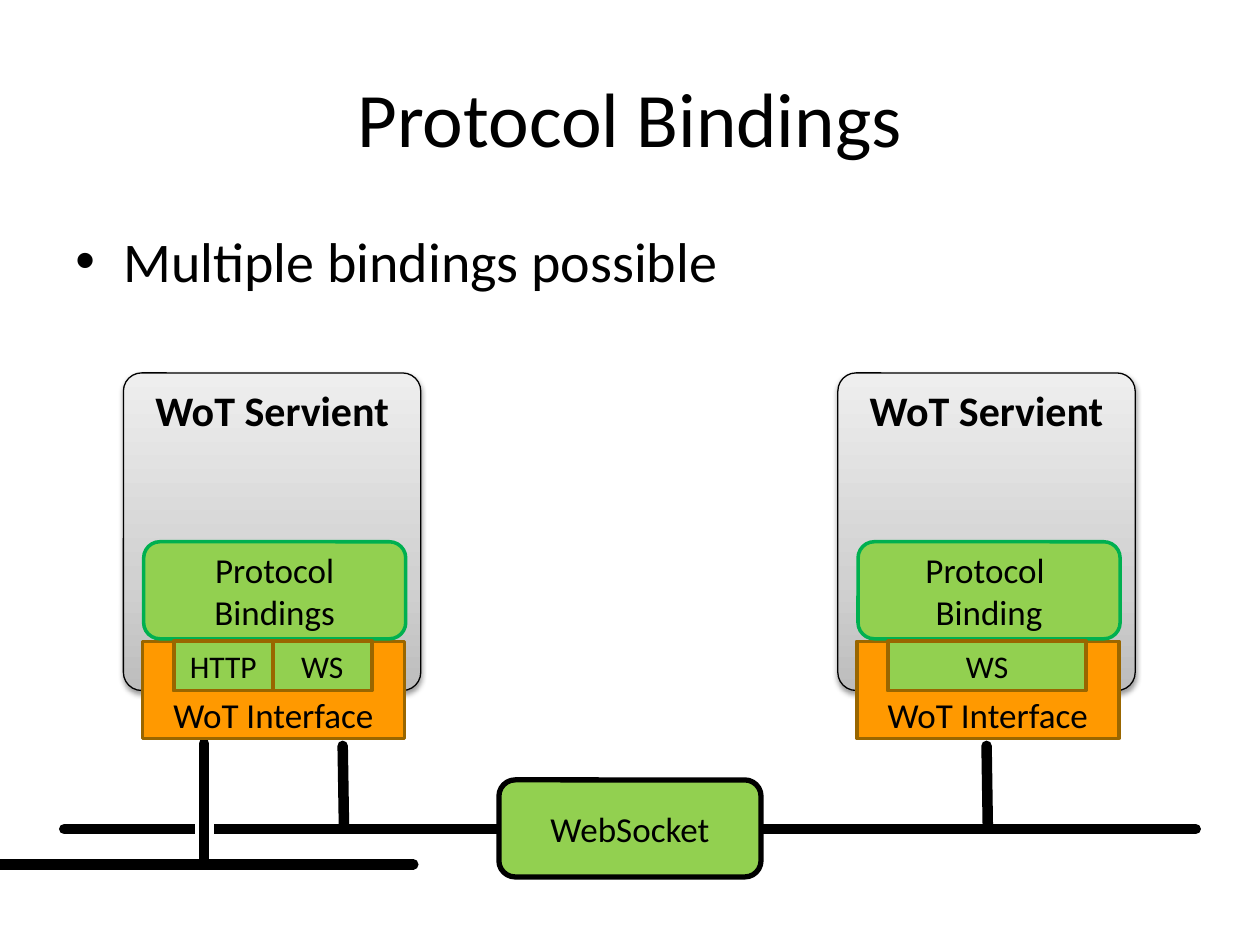
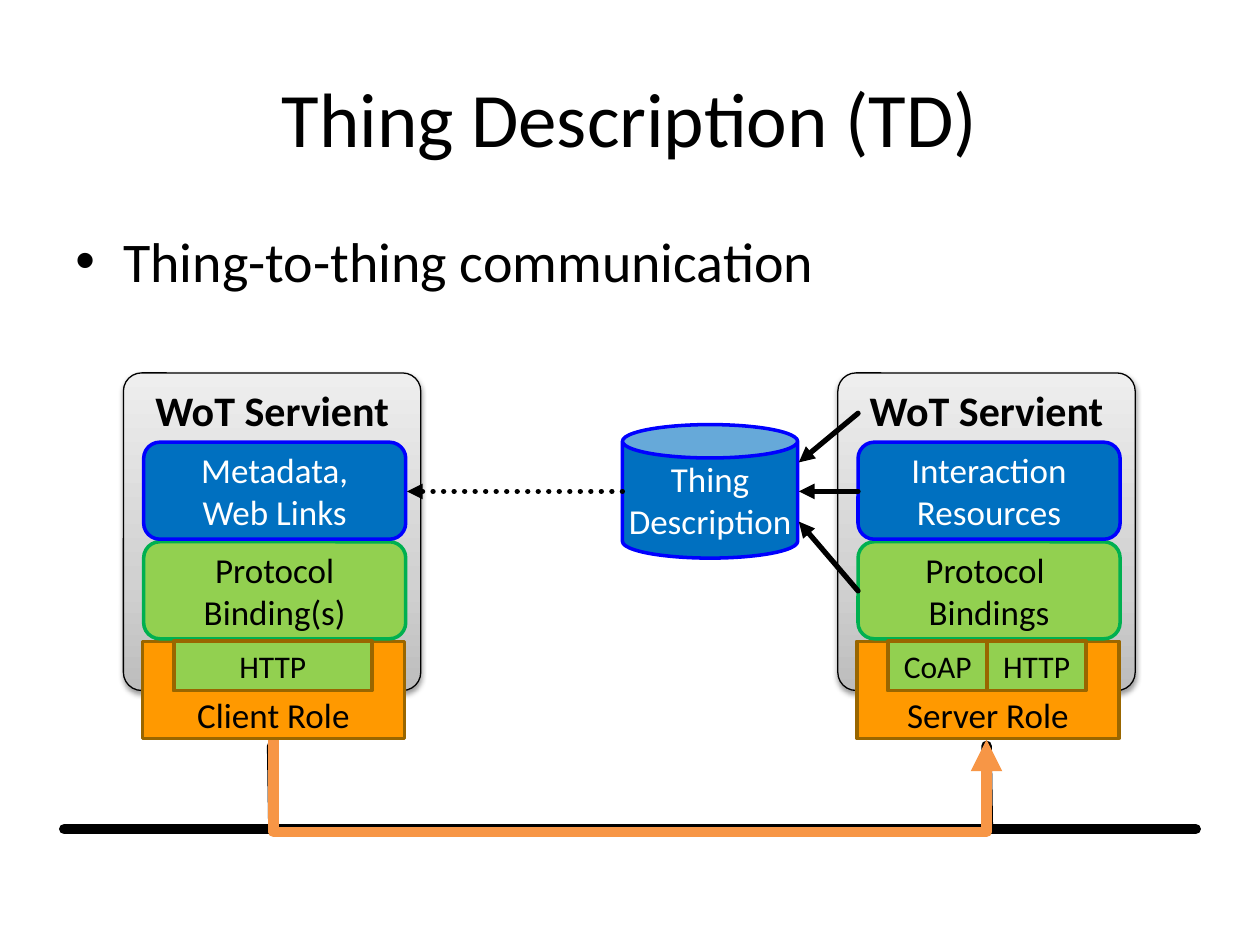
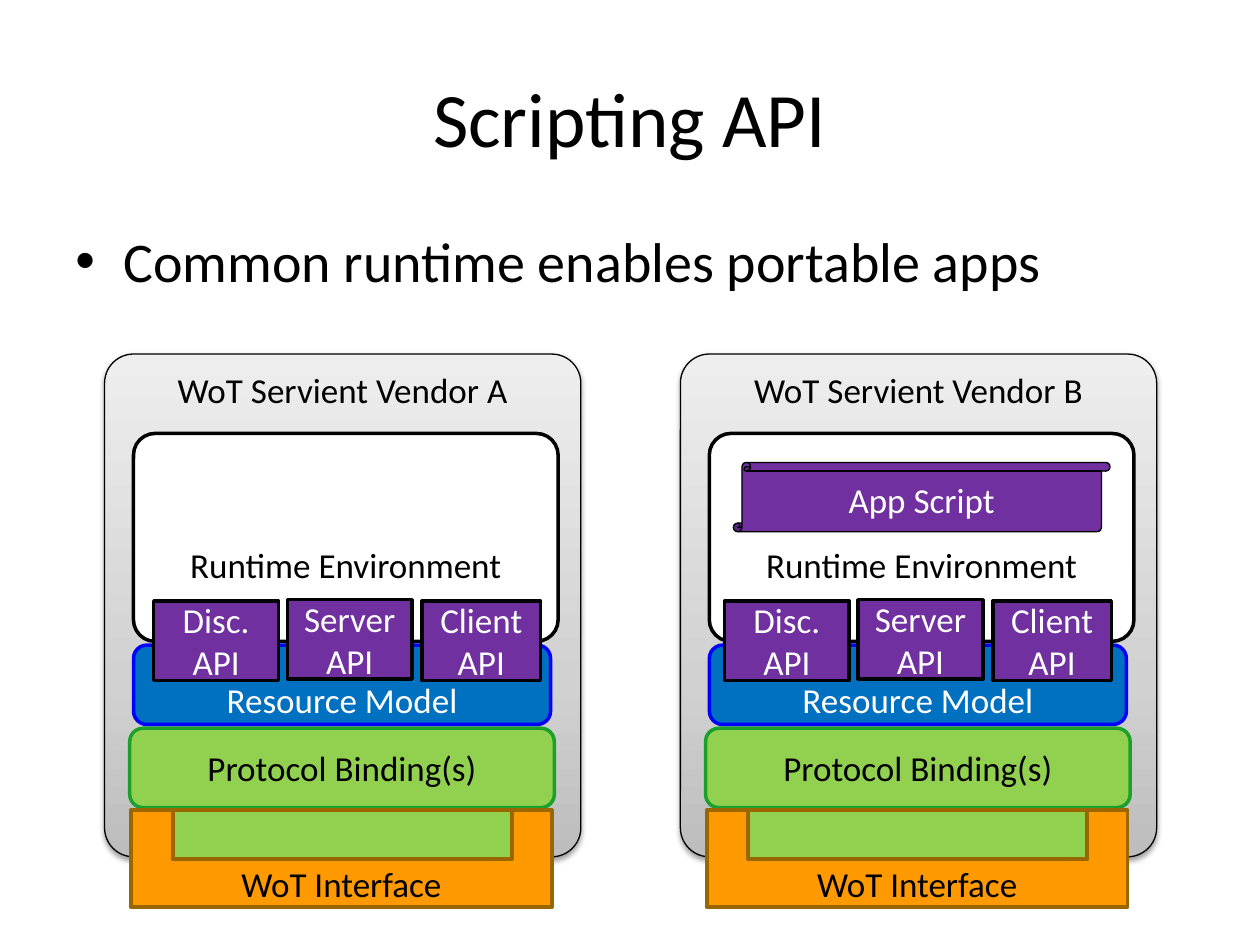
from copy import deepcopy

from lxml import etree
from pptx import Presentation
from pptx.dml.color import RGBColor
from pptx.enum.dml import MSO_LINE
from pptx.enum.shapes import MSO_CONNECTOR, MSO_SHAPE
from pptx.enum.text import MSO_ANCHOR, PP_ALIGN
from pptx.oxml import parse_xml
from pptx.oxml.ns import nsdecls, qn
from pptx.util import Inches, Pt

ROUNDED = MSO_SHAPE.ROUNDED_RECTANGLE
RECTANGLE = MSO_SHAPE.RECTANGLE
CAN = MSO_SHAPE.CAN
SCROLL = MSO_SHAPE.VERTICAL_SCROLL
STRAIGHT = MSO_CONNECTOR.STRAIGHT
ELBOW = MSO_CONNECTOR.ELBOW
DOTTED = MSO_LINE.ROUND_DOT
TOP, MIDDLE, BOTTOM = MSO_ANCHOR.TOP, MSO_ANCHOR.MIDDLE, MSO_ANCHOR.BOTTOM
CENTER = PP_ALIGN.CENTER
color = RGBColor.from_string

FONT = "Calibri"
BLACK, WHITE = "000000", "FFFFFF"
GREEN, BLUE, PURPLE = "92D050", "0070C0", "7030A0"
ORANGE, BROWN, ROUTE = "FF9900", "996600", "F79646"
PANEL_STOPS = ((0, "BDBDBD"), (0.35, "D1D1D1"), (1, "EEEEEE"))
PANEL_SHADOW = (
    f'<a:outerShdw {nsdecls("a")} blurRad="{Pt(3.1)}" dist="{Pt(1.6)}" dir="5400000" rotWithShape="0">'
    f'<a:srgbClr val="{BLACK}"><a:alpha val="38000"/></a:srgbClr></a:outerShdw>'
)

# style: outline, corner, fill, border, border width, text, anchor, bottom inset, wrap
STYLES = {
    "panel": (ROUNDED, 0.061, None, BLACK, 0.75, BLACK, TOP, 0.05, False),
    "binding": (ROUNDED, 0.167, GREEN, "00B050", 2, BLACK, MIDDLE, 0.05, True),
    "wide binding": (ROUNDED, 0.167, GREEN, "1BA12B", 2, BLACK, MIDDLE, 0.05, True),
    "broker": (ROUNDED, 0.167, GREEN, BLACK, 3, BLACK, MIDDLE, 0.05, True),
    "resource": (ROUNDED, 0.167, BLUE, "0000FF", 2, WHITE, MIDDLE, 0.05, True),
    "model": (ROUNDED, 0.167, BLUE, "0000FF", 2, WHITE, BOTTOM, 0, True),
    "description": (CAN, None, BLUE, "0000FF", 2, WHITE, MIDDLE, 0.05, False),
    "runtime": (ROUNDED, 0.104, WHITE, BLACK, 2, BLACK, BOTTOM, 0.39, True),
    "script": (SCROLL, None, PURPLE, BLACK, 0.75, WHITE, MIDDLE, 0.05, False),
    "api": (ROUNDED, 0, PURPLE, BLACK, 2, WHITE, MIDDLE, 0.05, True),
    "port": (RECTANGLE, None, GREEN, BROWN, 2.25, BLACK, MIDDLE, 0.05, True),
    "interface": (None, None, ORANGE, BROWN, 2, BLACK, BOTTOM, 0.02, True),
}


def draw_block(page, style, left, top, width, height, text="", size=20, bold=False):
    outline, corner, fill, border, weight, ink, anchor, inset, wrap = STYLES[style]
    if outline is None:
        right, bottom, notch = left + width, top + height, top + 0.39
        inner_left, inner_right = left + 0.12 * width, right - 0.128 * width
        corners = [
            (inner_left, top), (inner_left, notch), (inner_right, notch), (inner_right, top),
            (right, top), (right, bottom), (left, bottom),
        ]
        builder = page.shapes.build_freeform(Inches(left), Inches(top))
        builder.add_line_segments([(Inches(x), Inches(y)) for x, y in corners], close=True)
        block = builder.convert_to_shape()
    else:
        block = page.shapes.add_shape(outline, Inches(left), Inches(top), Inches(width), Inches(height))
    if corner is not None:
        block.adjustments[0] = corner
    block.shadow.inherit = False
    if fill:
        block.fill.solid()
        block.fill.fore_color.rgb = color(fill)
    else:
        block.fill.gradient()
        block.fill.gradient_angle = 90
        properties = block._element.spPr
        stops = properties.find(".//" + qn("a:gsLst"))
        stops.append(deepcopy(stops[0]))
        for stop, (position, shade) in zip(block.fill.gradient_stops, PANEL_STOPS):
            stop.position = position
            stop.color.rgb = color(shade)
        properties.find(qn("a:effectLst")).append(parse_xml(PANEL_SHADOW))
    block.line.color.rgb = color(border)
    block.line.width = Pt(weight)
    frame = block.text_frame
    frame.word_wrap = wrap
    frame.vertical_anchor = anchor
    frame.margin_bottom = Inches(inset)
    if style == "interface":
        frame.margin_top = 0
    frame.text = text
    for paragraph in frame.paragraphs:
        paragraph.alignment = CENTER
        paragraph.font.name = FONT
        paragraph.font.size = Pt(size)
        paragraph.font.bold = bold
        paragraph.font.color.rgb = color(ink)


def draw_line(page, start, end, weight=6, ink=BLACK, arrow=False, dash=None, kind=STRAIGHT):
    line = page.shapes.add_connector(kind, *[Inches(value) for value in (*start, *end)])
    line.line.color.rgb = color(ink)
    line.line.width = Pt(weight)
    if dash:
        line.line.dash_style = dash
    stroke = line.line._get_or_add_ln()
    stroke.set("cap", "rnd")
    if arrow:
        etree.SubElement(stroke, qn("a:tailEnd"), type="triangle")
    etree.SubElement(line._element.spPr, qn("a:effectLst"))
    return line


deck = Presentation()
deck.slide_width, deck.slide_height = Inches(10), Inches(7.5)

pages = []
for title, point in (
    ("Protocol Bindings", "Multiple bindings possible"),
    ("Thing Description (TD)", "Thing-to-thing communication"),
    ("Scripting API", "Common runtime enables portable apps"),
):
    page = deck.slides.add_slide(deck.slide_layouts[6])
    pages.append(page)
    for text, top, height, size, anchor in (
        (title, 0.3, 1.25, 44, MIDDLE),
        (point, 1.75, 4.95, 32, TOP),
    ):
        box = page.shapes.add_textbox(Inches(0.5), Inches(top), Inches(9), Inches(height))
        box.text_frame.word_wrap = True
        box.text_frame.vertical_anchor = anchor
        paragraph = box.text_frame.paragraphs[0]
        paragraph.text = text
        if text == title:
            paragraph.alignment = CENTER
        else:
            layout = paragraph._p.get_or_add_pPr()
            layout.set("marL", str(Inches(0.38)))
            layout.set("indent", str(-Inches(0.38)))
            etree.SubElement(layout, qn("a:buFont"), typeface="Arial")
            etree.SubElement(layout, qn("a:buChar"), char="•")
        paragraph.font.name = FONT
        paragraph.font.size = Pt(size)
        paragraph.font.color.rgb = color(BLACK)
bindings_page, description_page, scripting_page = pages

for page, client_stub in ((bindings_page, 2.73), (description_page, 2.17)):
    draw_line(page, (0.51, 6.58), (9.49, 6.58))
    for stub in (client_stub, 7.84):
        draw_line(page, (stub, 6.56), (stub - 0.01, 5.92))

draw_line(bindings_page, (-0.2, 6.86), (3.28, 6.86))
for gap in (1.57, 1.68):
    draw_line(bindings_page, (gap, 6.35), (gap, 6.74), 3, WHITE)
draw_line(bindings_page, (1.62, 6.85), (1.62, 5.9))
draw_block(bindings_page, "broker", 3.96, 6.19, 2.08, 0.77, "WebSocket")

route = draw_line(description_page, (5.01, 3.03), (4.99, 8.69), 6, ROUTE, arrow=True, kind=ELBOW)
route._element.spPr.xfrm.set("rot", "16200000")
guides = route._element.spPr.find(".//" + qn("a:avLst"))
etree.SubElement(guides, qn("a:gd"), name="adj1", fmla="val 3750000")

for page, shift, binding, interface, ports in (
    (bindings_page, 0, "Protocol\vBindings", "WoT Interface", ("HTTP", "WS")),
    (bindings_page, 5.67, "Protocol \vBinding", "WoT Interface", ("WS",)),
    (description_page, 0, "Protocol\vBinding(s)", "Client Role", ("HTTP",)),
    (description_page, 5.67, "Protocol \vBindings", "Server Role", ("CoAP", "HTTP")),
):
    draw_block(page, "panel", 0.98 + shift, 2.96, 2.36, 2.52, "WoT Servient", 24, True)
    draw_block(page, "interface", 1.13 + shift, 5.09, 2.08, 0.77, interface)
    draw_block(page, "binding", 1.14 + shift, 4.3, 2.08, 0.77, binding)
    port_width = 1.57 / len(ports)
    for index, port in enumerate(ports):
        draw_block(page, "port", 1.38 + shift + index * port_width, 5.09, port_width, 0.39, port, 18)

draw_block(description_page, "description", 4.94, 3.37, 1.39, 1.06, "Thing\nDescription")
for left, text in ((1.14, "Metadata,\vWeb Links"), (6.81, "Interaction\vResources")):
    draw_block(description_page, "resource", left, 3.51, 2.08, 0.77, text)
for start, end in ((3.9, 3.9), (4.69, 4.14), (3.28, 3.67)):
    draw_line(description_page, (6.81, start), (6.34, end), 3, arrow=True)
draw_line(description_page, (4.94, 3.9), (3.23, 3.9), 3, arrow=True, dash=DOTTED)

for vendor, shift, api_left in (("A", 0, 1.22), ("B", 4.57, 5.75)):
    draw_block(scripting_page, "panel", 0.83 + shift, 2.81, 3.78, 3.99, f"WoT Servient Vendor {vendor}")
    draw_block(scripting_page, "runtime", 1.06 + shift, 3.44, 3.37, 1.65, "Runtime Environment")
    draw_block(scripting_page, "wide binding", 1.03 + shift, 5.78, 3.37, 0.63, "Protocol Binding(s)")
    draw_block(scripting_page, "model", 1.06 + shift, 5.12, 3.31, 0.63, "Resource Model")
    for name, offset, top, width in (
        ("Disc.", 0, 4.77, 0.99),
        ("Server", 1.06, 4.76, 0.99),
        ("Client", 2.13, 4.77, 0.94),
    ):
        draw_block(scripting_page, "api", api_left + offset, top, width, 0.63, f"{name}\vAPI")
    draw_block(scripting_page, "interface", 1.04 + shift, 6.43, 3.34, 0.77, "WoT Interface")
    draw_block(scripting_page, "port", 1.37 + shift, 6.43, 2.69, 0.39)
draw_block(scripting_page, "script", 5.82, 3.67, 2.99, 0.55, "App Script")

deck.save("out.pptx")
